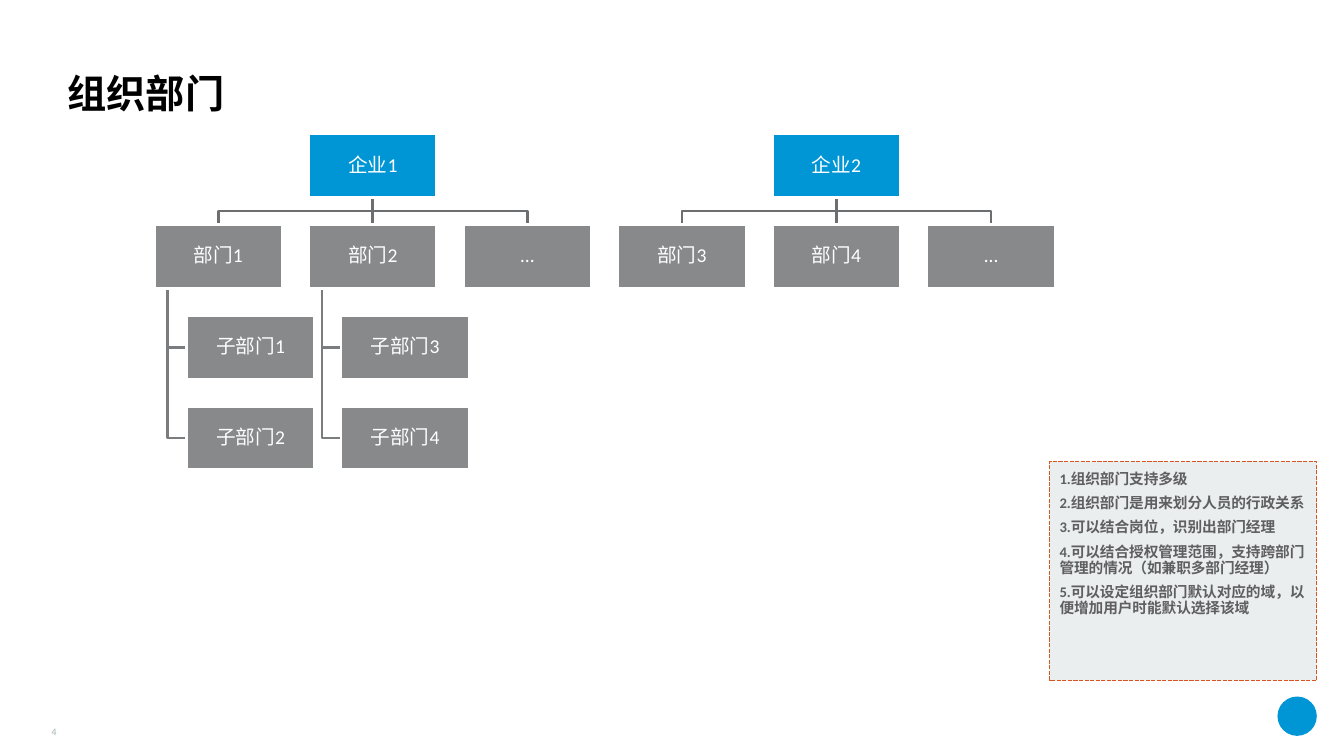
from lxml import etree
from pptx import Presentation
from pptx.dml.color import RGBColor
from pptx.enum.dml import MSO_LINE
from pptx.enum.shapes import MSO_CONNECTOR, MSO_SHAPE
from pptx.enum.text import MSO_ANCHOR, PP_ALIGN
from pptx.oxml.ns import qn
from pptx.util import Inches, Pt

TITLE = "组织部门"
# Each company: name, grid column, and its departments with their sub-departments
COMPANIES = [
    ("企业1", 1, [("部门1", ["子部门1", "子部门2"]),
                ("部门2", ["子部门3", "子部门4"]),
                ("…", [])]),
    ("企业2", 4, [("部门3", []), ("部门4", []), ("…", [])]),
]
NOTES = [
    "1.组织部门支持多级",
    "2.组织部门是用来划分人员的行政关系",
    "3.可以结合岗位，识别出部门经理",
    "4.可以结合授权管理范围，支持跨部门管理的情况（如兼职多部门经理）",
    "5.可以设定组织部门默认对应的域，以便增加用户时能默认选择该域",
]
PAGE_NUMBER = "4"

FONT = "Calibri"
BLACK = RGBColor(0x00, 0x00, 0x00)
WHITE = RGBColor(0xFF, 0xFF, 0xFF)
BLUE = RGBColor(0x00, 0x96, 0xD6)
GREY = RGBColor(0x87, 0x89, 0x8B)
BRANCH_GREY = RGBColor(0x6C, 0x6E, 0x6F)
SUB_GREY = RGBColor(0x7B, 0x7C, 0x7E)
NOTE_FILL = RGBColor(0xEA, 0xEE, 0xEF)
NOTE_TEXT = RGBColor(0x5F, 0x5F, 0x5F)
ORANGE = RGBColor(0xD9, 0x54, 0x1E)
PALE = RGBColor(0xA8, 0xB2, 0xB2)
TOP, MIDDLE, BOTTOM = MSO_ANCHOR.TOP, MSO_ANCHOR.MIDDLE, MSO_ANCHOR.BOTTOM
LEFT, CENTER, RIGHT = PP_ALIGN.LEFT, PP_ALIGN.CENTER, PP_ALIGN.RIGHT

# Chart grid, in inches
GRID_LEFT, GRID_TOP = 1.53, 1.33
COLUMN_STEP, ROW_STEP = 1.533, 0.9
BOX_WIDTH, BOX_HEIGHT = 1.27, 0.63
SUB_INDENT = 0.32
STEM_INDENT = 0.13


def write(shape, lines, size, color, align=LEFT, anchor=TOP, margin=0.0,
          bold=False, spacing=0.9, before=0):
    frame = shape.text_frame
    frame.word_wrap = True
    frame.vertical_anchor = anchor
    frame.margin_left = frame.margin_right = Inches(margin)
    frame.margin_top = frame.margin_bottom = Inches(margin)
    for index, line in enumerate(lines):
        para = frame.add_paragraph() if index else frame.paragraphs[0]
        para.alignment = align
        para.line_spacing = spacing
        para.space_before = Pt(before)
        span = para.add_run()
        span.text = line
        span.font.name = FONT
        span.font.size = Pt(size)
        span.font.bold = bold
        span.font.color.rgb = color


def add_block(page, kind, left, top, width, height, fill, outline=None, weight=1):
    block = page.shapes.add_shape(
        kind, Inches(left), Inches(top), Inches(width), Inches(height))
    block.shadow.inherit = False
    block.fill.solid()
    block.fill.fore_color.rgb = fill
    if outline is None:
        block.line.fill.background()
    else:
        block.line.color.rgb = outline
        block.line.width = Pt(weight)
    return block


def cell(column, row, indent=0.0):
    """Left and top of a grid cell."""
    return GRID_LEFT + column * COLUMN_STEP + indent, GRID_TOP + row * ROW_STEP


def add_node(page, name, left, top, fill):
    box = add_block(page, MSO_SHAPE.RECTANGLE, left, top, BOX_WIDTH, BOX_HEIGHT,
                    fill, WHITE, 2)
    write(box, [name], 14, WHITE, CENTER, MIDDLE, 0.01)


def add_link(page, points, color):
    """Draw a line through points; a straight one is a connector."""
    points = [(Inches(x), Inches(y)) for x, y in points]
    if len({x for x, _ in points}) == 1:
        link = page.shapes.add_connector(
            MSO_CONNECTOR.STRAIGHT, *points[0], *points[-1])
        etree.SubElement(link._element.spPr, qn("a:effectLst"))
    else:
        builder = page.shapes.build_freeform(*points[0])
        builder.add_line_segments(points[1:], close=False)
        link = builder.convert_to_shape()
        link.fill.background()
        link.shadow.inherit = False
    link.line.color.rgb = color
    link.line.width = Pt(2)


def add_company(page, name, column, departments):
    left, top = cell(column, 0)
    stem = left + BOX_WIDTH / 2
    bottom = top + BOX_HEIGHT
    nodes = [(name, left, top, BLUE)]
    for offset, (department, subs) in enumerate(departments, start=-1):
        left, top = cell(column + offset, 1)
        nodes.append((department, left, top, GREY))
        center, bend = left + BOX_WIDTH / 2, (bottom + top) / 2
        add_link(page, [(stem, bottom), (stem, bend), (center, bend), (center, top)],
                 BRANCH_GREY)
        for row, sub in enumerate(subs, start=2):
            sub_left, sub_top = cell(column + offset, row, SUB_INDENT)
            nodes.append((sub, sub_left, sub_top, GREY))
            spine, level = left + STEM_INDENT, sub_top + BOX_HEIGHT / 2
            add_link(page, [(spine, top + BOX_HEIGHT), (spine, level),
                            (sub_left, level)], SUB_GREY)
    for node in nodes:
        add_node(page, *node)


def main():
    deck = Presentation()
    deck.slide_width, deck.slide_height = Inches(13.33), Inches(7.5)
    page = deck.slides.add_slide(deck.slide_layouts[5])

    title = page.shapes.title
    title.left, title.top = Inches(0.67), Inches(0.33)
    title.width, title.height = Inches(12), Inches(0.83)
    write(title, [TITLE], 28, BLACK, anchor=BOTTOM, bold=True)

    for company in COMPANIES:
        add_company(page, *company)

    notes = add_block(page, MSO_SHAPE.RECTANGLE, 10.41, 4.58, 2.65, 2.17,
                      NOTE_FILL, ORANGE)
    notes.line.dash_style = MSO_LINE.SQUARE_DOT
    write(notes, NOTES, 10.5, NOTE_TEXT, margin=0.1, bold=True, before=6)

    add_block(page, MSO_SHAPE.OVAL, 12.67, 6.91, 0.39, 0.39, BLUE)
    number = page.shapes.add_textbox(
        Inches(0.23), Inches(7.08), Inches(0.33), Inches(0.24))
    write(number, [PAGE_NUMBER], 7, PALE, RIGHT, BOTTOM, spacing=1.0)

    deck.save("out.pptx")


if __name__ == "__main__":
    main()
